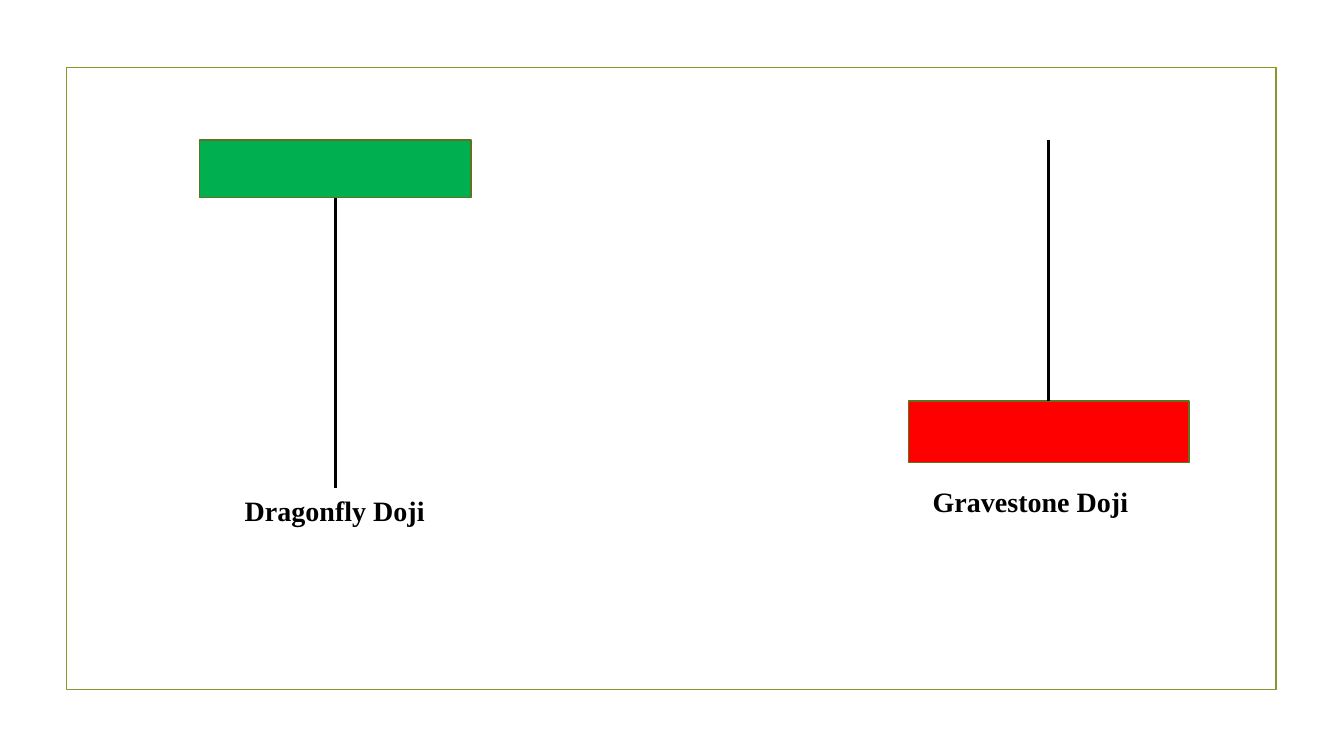
from lxml.etree import SubElement
from pptx import Presentation
from pptx.dml.color import RGBColor
from pptx.enum.shapes import MSO_CONNECTOR, MSO_SHAPE
from pptx.enum.text import MSO_ANCHOR, PP_ALIGN
from pptx.oxml.ns import qn
from pptx.util import Inches, Pt

COLORS = {
    "frame": "83992A",
    "outline": "61711F",
    "rising": "00B050",
    "falling": "FF0000",
    "ink": "000000",
}
LABEL_FORMAT = {
    "name": "Times New Roman",
    "size": Pt(20),
    "bold": True,
}
FRAME = (0.66, 0.67, 12, 6.17)
CANDLES = [
    {
        "body": (1.98, 1.39, 2.69, 0.57),
        "fill": "rising",
        "wick": (1.96, 4.84),
        "label": "Dragonfly Doji",
        "label_box": (2.32, 4.84, 2, 0.44),
    },
    {
        "body": (9.01, 3.98, 2.78, 0.61),
        "fill": "falling",
        "wick": (1.39, 3.98),
        "label": "Gravestone Doji",
        "label_box": (9.01, 4.75, 2.42, 0.44),
    },
]


def color(name):
    return RGBColor.from_string(COLORS[name])


def add_rectangle(page, box, line, fill=None):
    rectangle = page.shapes.add_shape(MSO_SHAPE.RECTANGLE, *map(Inches, box))
    rectangle.shadow.inherit = False
    if fill:
        rectangle.fill.solid()
        rectangle.fill.fore_color.rgb = color(fill)
    else:
        rectangle.fill.background()
    rectangle.line.color.rgb = color(line)
    rectangle.line.width = Pt(1.25)


def add_wick(page, center, top, bottom):
    ends = map(Inches, (center, top, center, bottom))
    wick = page.shapes.add_connector(MSO_CONNECTOR.STRAIGHT, *ends)
    wick.line.color.rgb = color("ink")
    wick.line.width = Pt(2)
    SubElement(wick._element.spPr, qn("a:effectLst"))


def add_label(page, box, text):
    frame = page.shapes.add_textbox(*map(Inches, box)).text_frame
    frame.word_wrap = True
    frame.vertical_anchor = MSO_ANCHOR.MIDDLE
    para = frame.paragraphs[0]
    para.alignment = PP_ALIGN.CENTER
    span = para.add_run()
    span.text = text
    for key, value in LABEL_FORMAT.items():
        setattr(span.font, key, value)
    span.font.color.rgb = color("ink")


def add_candle(page, candle):
    left, _, width, _ = candle["body"]
    add_rectangle(page, candle["body"], "outline", candle["fill"])
    add_wick(page, left + width / 2, *candle["wick"])
    add_label(page, candle["label_box"], candle["label"])


def main():
    deck = Presentation()
    deck.slide_width, deck.slide_height = Inches(13.33), Inches(7.5)
    page = deck.slides.add_slide(deck.slide_layouts[6])
    add_rectangle(page, FRAME, "frame")
    for candle in CANDLES:
        add_candle(page, candle)
    deck.save("out.pptx")


if __name__ == "__main__":
    main()
